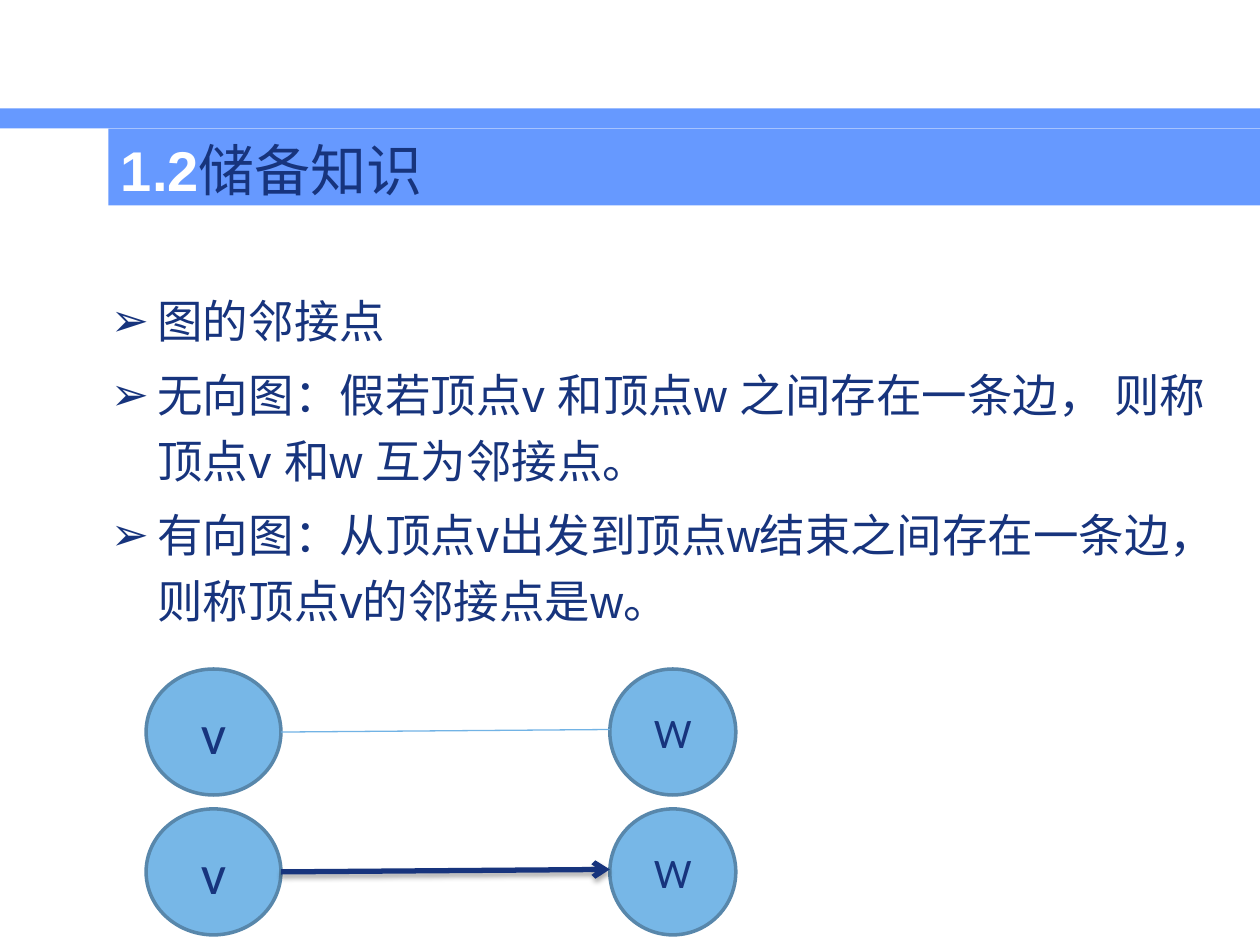
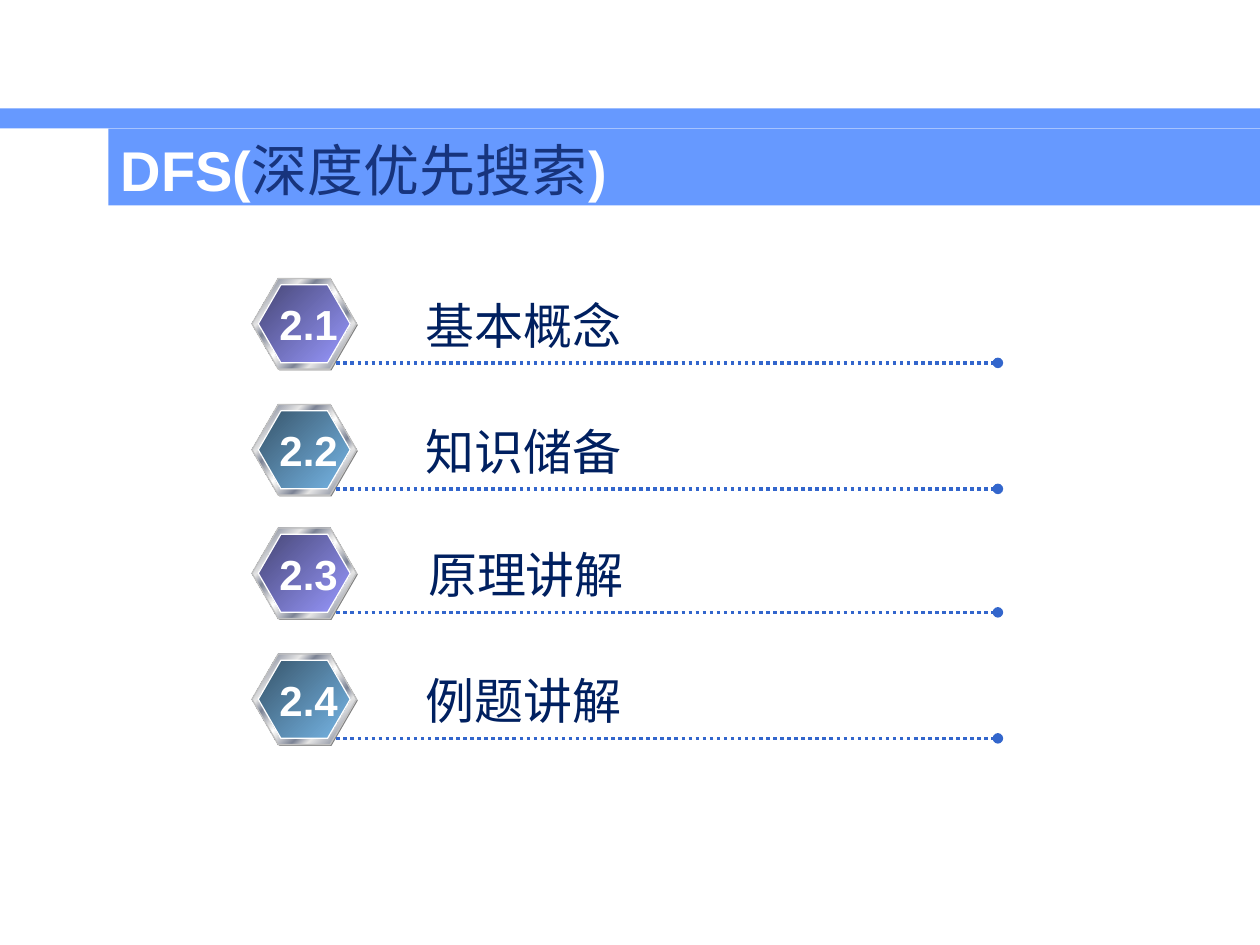
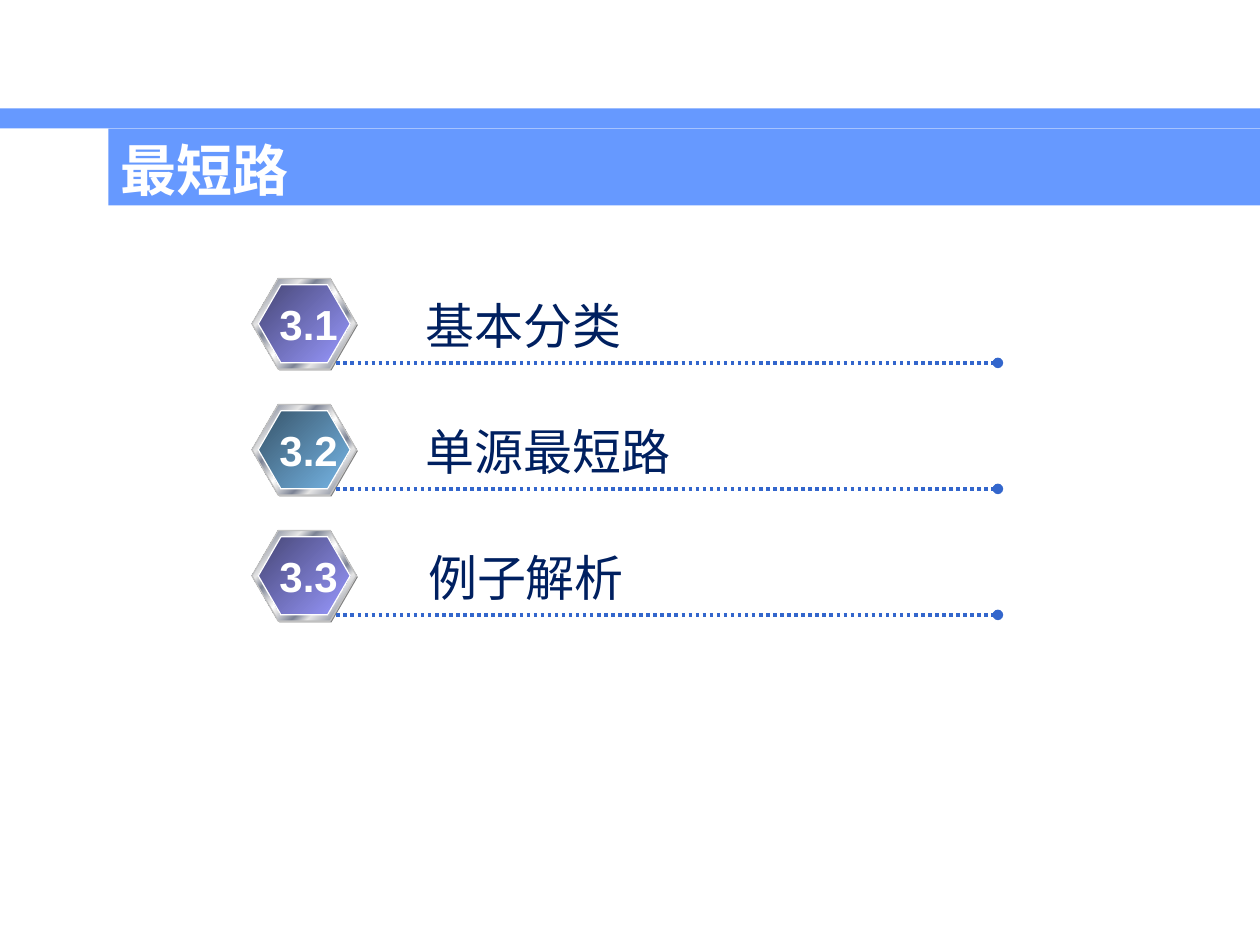
"""Builds three slides on graph adjacency, depth-first search and shortest paths."""
from lxml.etree import SubElement as Sub
from pptx import Presentation
from pptx.dml.color import RGBColor
from pptx.enum.dml import MSO_LINE as Dash
from pptx.enum.shapes import MSO_CONNECTOR as Conn, MSO_SHAPE as Kind
from pptx.enum.text import MSO_ANCHOR as Anchor, MSO_AUTO_SIZE as Fit, PP_ALIGN as Align
from pptx.oxml.ns import qn
from pptx.util import Inches, Pt

Hex = RGBColor.from_string
BLUE, NAVY, WHITE, DEEP = "6699FF", "17347D", "FFFFFF", "002060"
SKY, EDGE, DOTS = "77B7E7", "5887AB", "3366CC"
STEEL = [(0, "E6E6E6"), (8, "7D8496"), (26, "E6E6E6"), (34, "7D8496"),
         (46, "E6E6E6"), (50, "FFFFFF"), (54, "E6E6E6"), (66, "7D8496"),
         (74, "E6E6E6"), (92, "7D8496"), (100, "E6E6E6")]
TONES = [[(0, "464675"), (100, "9999FF")], [(0, "37546A"), (100, SKY)]]


def paint(shape, fill, line=None, width=0.75):
    """Fill a shape with a colour or a list of stops, and outline it."""
    shape.shadow.inherit = False
    if isinstance(fill, str):
        shape.fill.solid()
        shape.fill.fore_color.rgb = Hex(fill)
    else:
        shape.fill.gradient()
        shape.fill.gradient_angle = 315
        stops = shape._element.spPr.find(qn("a:gradFill")).find(qn("a:gsLst"))
        stops.clear()
        for place, tone in fill:
            stop = Sub(stops, qn("a:gs"), pos=str(place * 1000))
            Sub(stop, qn("a:srgbClr"), val=tone)
    if line:
        shape.line.color.rgb = Hex(line)
        shape.line.width = Pt(width)
    else:
        shape.line.fill.background()


def write(para, text, size, tone, bold=False, face="Arial"):
    """Add one run to a paragraph."""
    run = para.add_run()
    run.text = text
    run.font.name = face
    run.font.size = Pt(size)
    run.font.bold = bold
    run.font.color.rgb = Hex(tone)


prs = Presentation()
prs.slide_width, prs.slide_height = Inches(10), Inches(7.5)

heads = [
    (1, [("1.2", WHITE, True), ("储备知识", NAVY, False)]),
    (5, [("DFS(", WHITE, True), ("深度优先搜索", NAVY, False), (")", WHITE, True)]),
    (5, [("最短路", WHITE, True)]),
]
slides = []
for index, runs in heads:
    slide = prs.slides.add_slide(prs.slide_layouts[index])
    title = slide.shapes.title
    title.left, title.top = Inches(0.86), Inches(1.02)
    title.width, title.height = Inches(9.14), Inches(0.61)
    paint(title, BLUE)
    frame = title.text_frame
    frame.auto_size = Fit.NONE
    frame.vertical_anchor = Anchor.MIDDLE
    frame.margin_top, frame.margin_bottom = Inches(0.07), Inches(0.04)
    frame.paragraphs[0].alignment = Align.LEFT
    for text, tone, bold in runs:
        write(frame.paragraphs[0], text, 32, tone, bold)
    slides.append(slide)

band = slides[0].shapes.add_shape(
    Kind.RECTANGLE, 0, Inches(0.86), Inches(10), Inches(0.16))
paint(band, BLUE)
prs.slide_master.shapes._spTree.insert(2, band._element)

slide = slides[0]
body = slide.placeholders[1]
body.left, body.top = Inches(0.78), Inches(2.19)
body.width, body.height = Inches(9.22), Inches(1.19)
frame = body.text_frame
frame.auto_size = Fit.NONE
frame.margin_right = Inches(0.15)
points = [
    "图的邻接点",
    "无向图：假若顶点v 和顶点w 之间存在一条边， 则称顶点v 和w 互为邻接点。",
    "有向图：从顶点v出发到顶点w结束之间存在一条边，则称顶点v的邻接点是w。",
]
for i, text in enumerate(points):
    para = frame.add_paragraph() if i else frame.paragraphs[0]
    para.line_spacing = 1.2
    para.space_before = Pt(5)
    props = para._p.get_or_add_pPr()
    props.set("marL", str(Inches(0.37)))
    props.set("indent", str(-Inches(0.37)))
    Sub(props, qn("a:buFont"), typeface="Arial")
    Sub(props, qn("a:buChar"), char="➢")
    write(para, text, 26, NAVY)

for top, tone, width in [(5.31, "72B3E5", 0.75), (6.42, NAVY, 3)]:
    for text, left, wide, size in [("v", 1.16, 1.07, 32), ("W", 4.84, 1, 24)]:
        node = slide.shapes.add_shape(
            Kind.OVAL, Inches(left), Inches(top), Inches(wide), Inches(1))
        paint(node, SKY, EDGE, 2)
        node.text_frame.vertical_anchor = Anchor.MIDDLE
        para = node.text_frame.paragraphs[0]
        para.alignment = Align.CENTER
        write(para, text, size, NAVY, face="Calibri")
    link = slide.shapes.add_connector(
        Conn.STRAIGHT, Inches(2.23), Inches(top + 0.5), Inches(4.84), Inches(top + 0.48))
    link.line.color.rgb = Hex(tone)
    link.line.width = Pt(width)
    props = link._element.spPr
    effect = Sub(props, qn("a:effectLst"))
    if width == 3:
        Sub(props.find(qn("a:ln")), qn("a:tailEnd"), type="arrow")
        shade = Sub(effect, qn("a:outerShdw"), blurRad=str(Pt(3.1)),
                    dist=str(Pt(1.8)), dir="5400000", rotWithShape="0")
        Sub(Sub(shade, qn("a:srgbClr"), val="000000"), qn("a:alpha"), val="35000")

lists = [
    (slides[1], [("2.1", "基本概念", 2.21, 3.28, 1.76), ("2.2", "知识储备", 3.21, 3.28, 1.76),
                 ("2.3", "原理讲解", 4.19, 3.3, 1.76), ("2.4", "例题讲解", 5.19, 3.28, 1.76)]),
    (slides[2], [("3.1", "基本分类", 2.21, 3.28, 1.76), ("3.2", "单源最短路", 3.21, 3.28, 2.14),
                 ("3.3", "例子解析", 4.21, 3.3, 1.76)]),
]
for slide, rows in lists:
    for i, (mark, name, top, left, wide) in enumerate(rows):
        group = slide.shapes.add_group_shape().shapes
        layers = [
            (2.01, 0.01, 0.83, 0.72, "808080", None),
            (2, 0, 0.83, 0.72, STEEL, "C0C0C0"),
            (2.05, 0.05, 0.73, 0.62, TONES[i % 2], WHITE),
        ]
        for x, drop, w, h, fill, line in layers:
            tile = group.add_shape(
                Kind.HEXAGON, Inches(x), Inches(top + drop), Inches(w), Inches(h))
            tile.adjustments[0] = 0.29
            paint(tile, fill, line)

        rule = group.add_connector(
            Conn.STRAIGHT, Inches(2.67), Inches(top + 0.67), Inches(7.92), Inches(top + 0.67))
        rule.line.color.rgb = Hex(DOTS)
        rule.line.width = Pt(2)
        rule.line.dash_style = Dash.ROUND_DOT
        props = rule._element.spPr
        Sub(props.find(qn("a:ln")), qn("a:tailEnd"), type="oval")
        Sub(props, qn("a:effectLst"))

        labels = [
            (name, left, 0.08, wide, 0.57, 28, DEEP, False, Align.LEFT),
            (mark, 2.12, 0.11, 0.66, 0.5, 24, WHITE, True, Align.CENTER),
        ]
        for text, x, drop, w, h, size, tone, bold, align in labels:
            box = group.add_textbox(Inches(x), Inches(top + drop), Inches(w), Inches(h))
            frame = box.text_frame
            frame.word_wrap = False
            frame.auto_size = Fit.SHAPE_TO_FIT_TEXT
            frame.vertical_anchor = Anchor.MIDDLE
            frame.paragraphs[0].alignment = align
            write(frame.paragraphs[0], text, size, tone, bold)

prs.save("out.pptx")
